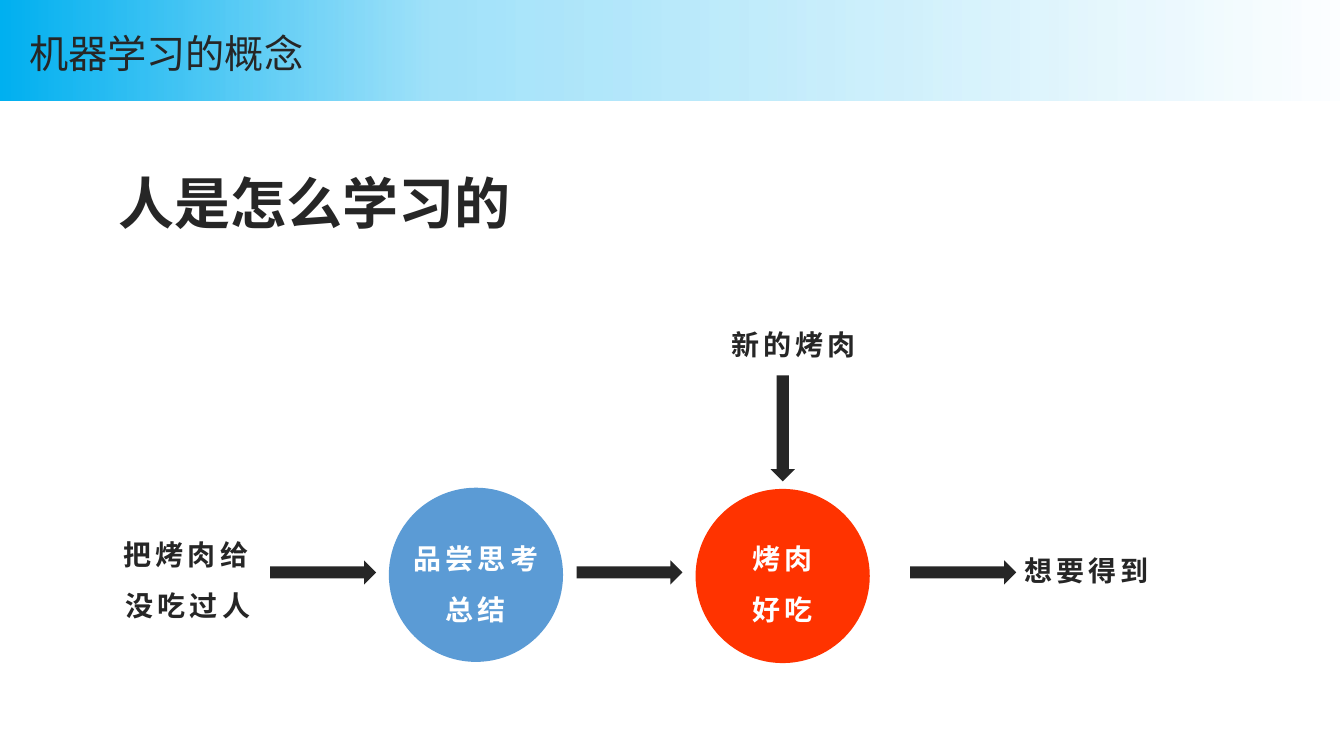
from copy import deepcopy
from dataclasses import dataclass

from lxml import etree
from pptx import Presentation
from pptx.dml.color import RGBColor
from pptx.enum.shapes import MSO_SHAPE
from pptx.enum.text import MSO_ANCHOR, MSO_AUTO_SIZE, PP_ALIGN
from pptx.oxml.ns import qn
from pptx.util import Cm, Pt

RECTANGLE, CIRCLE, ARROW = MSO_SHAPE.RECTANGLE, MSO_SHAPE.OVAL, MSO_SHAPE.RIGHT_ARROW
LEFT, CENTER = PP_ALIGN.LEFT, PP_ALIGN.CENTER
MIDDLE = MSO_ANCHOR.MIDDLE
GROW = MSO_AUTO_SIZE.SHAPE_TO_FIT_TEXT

SLIDE_WIDTH, SLIDE_HEIGHT = 33.87, 19.05
INDENT = 0.74
ARROW_LENGTH, ARROW_WIDTH = 2.67, 0.61
DIAMETER = 4.39


@dataclass(frozen=True)
class Theme:
    font: str = "Noto Sans CJK SC"
    ink: str = "262626"
    paper: str = "FFFFFF"
    banner: str = "00B0F0"
    thinking: str = "5B9BD5"
    knowledge: str = "FF3300"
    title_size: int = 28
    headline_size: int = 40
    label_size: int = 20
    label_tracking: int = 3
    label_spacing: float = 1.5
    # position and opacity of each banner stop
    banner_fade: tuple = ((0, 1), (0.32, 0.37), (1, 0))


def write(frame, text, *, font, size, color, bold=False, align=LEFT,
          spacing=None, tracking=0):
    """Fill a text frame, one paragraph per line of text."""
    for index, line in enumerate(text.split("\n")):
        paragraph = frame.add_paragraph() if index else frame.paragraphs[0]
        paragraph.alignment = align
        paragraph.line_spacing = spacing
        run = paragraph.add_run()
        run.text = line
        run.font.name, run.font.size, run.font.bold = font, Pt(size), bold
        run.font.color.rgb = RGBColor.from_string(color)
        properties = run.font._element
        etree.SubElement(properties, qn("a:ea")).set("typeface", font)
        if tracking:
            properties.set("spc", str(tracking * 100))


class SlideBuilder:
    def __init__(self, slide, theme):
        self.slide, self.theme = slide, theme

    def shape(self, kind, left, top, width, height, color=None):
        shape = self.slide.shapes.add_shape(
            kind, Cm(left), Cm(top), Cm(width), Cm(height))
        shape.shadow.inherit = False
        shape.line.fill.background()
        if color:
            shape.fill.solid()
            shape.fill.fore_color.rgb = RGBColor.from_string(color)
        return shape

    def banner(self, title, height):
        theme = self.theme
        banner = self.shape(RECTANGLE, 0, 0, SLIDE_WIDTH, height)
        banner.fill.gradient()
        banner.fill.gradient_angle = 0
        stops = banner._element.spPr.find(".//" + qn("a:gsLst"))
        stops.append(deepcopy(stops[-1]))
        for stop, (position, opacity) in zip(banner.fill.gradient_stops, theme.banner_fade):
            stop.position = position
            stop.color.rgb = RGBColor.from_string(theme.banner)
        for stop, (position, opacity) in zip(stops, theme.banner_fade):
            etree.SubElement(stop[0], qn("a:alpha")).set("val", str(round(opacity * 100000)))
        frame = banner.text_frame
        frame.vertical_anchor = MIDDLE
        frame.margin_left, frame.margin_top = Cm(INDENT), Cm(0.25)
        write(frame, title, font=theme.font, size=theme.title_size, color=theme.ink)

    def text_box(self, text, left, top, width, height, wrap=True, indent=0.25, **text_format):
        frame = self.slide.shapes.add_textbox(
            Cm(left), Cm(top), Cm(width), Cm(height)).text_frame
        frame.word_wrap = wrap
        frame.auto_size = GROW
        frame.margin_left = Cm(indent)
        write(frame, text, font=self.theme.font, bold=True, **text_format)

    def headline(self, text, left, top, width, height):
        self.text_box(text, left, top, width, height, wrap=False,
                      size=self.theme.headline_size, color=self.theme.ink)

    def label(self, text, left, top, width, height, color=None, **layout):
        theme = self.theme
        self.text_box(text, left, top, width, height, size=theme.label_size,
                      color=color or theme.ink, align=CENTER,
                      spacing=theme.label_spacing, tracking=theme.label_tracking, **layout)

    def stage(self, text, left, top, color):
        self.shape(CIRCLE, left, top, DIAMETER, DIAMETER, color)
        self.label(text, left + 0.2, 13.11, DIAMETER - 0.4, 2.82, color=self.theme.paper)

    def arrow(self, left, top, rotation=0):
        arrow = self.shape(ARROW, left, top, ARROW_LENGTH, ARROW_WIDTH, self.theme.ink)
        arrow.rotation = rotation


def main():
    presentation = Presentation()
    presentation.slide_width, presentation.slide_height = Cm(SLIDE_WIDTH), Cm(SLIDE_HEIGHT)
    theme = Theme()
    page = SlideBuilder(presentation.slides.add_slide(presentation.slide_layouts[6]), theme)

    page.banner("机器学习的概念", 2.53)
    page.headline("人是怎么学习的", 2.74, 4.11, 10.49, 1.96)

    page.label("把烤肉给没吃过人", 2.74, 13, 3.99, 2.82)
    page.stage("品尝思考\n总结", 9.8, 12.29, theme.thinking)
    page.stage("烤肉\n好吃", 17.53, 12.32, theme.knowledge)
    page.label("新的烤肉", 17.6, 7.7, 4.8, 1.4)
    page.label("想要得到", 24.74, 13.41, 4.8, 1.4, indent=INDENT)

    for left in (6.81, 14.53, 22.94):
        page.arrow(left, 14.12)
    page.arrow(18.39, 10.49, rotation=90)

    presentation.save("out.pptx")


if __name__ == "__main__":
    main()
